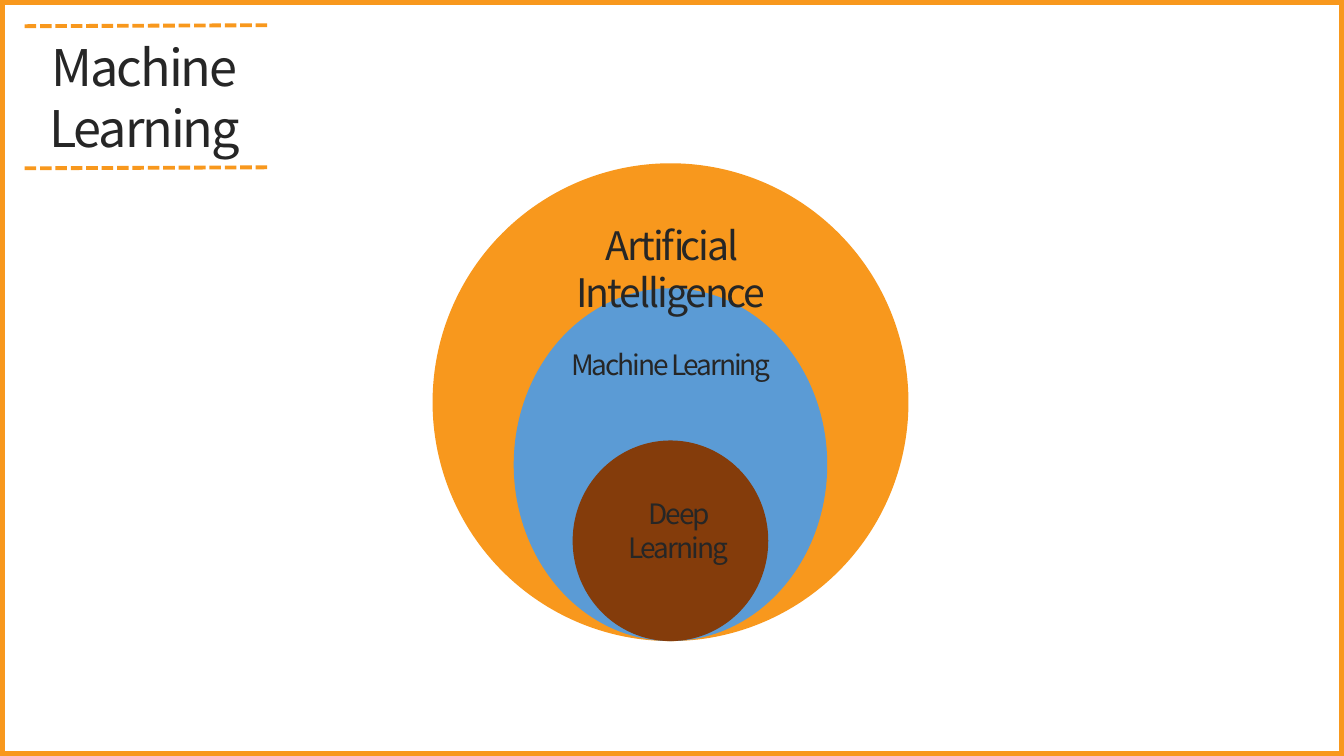
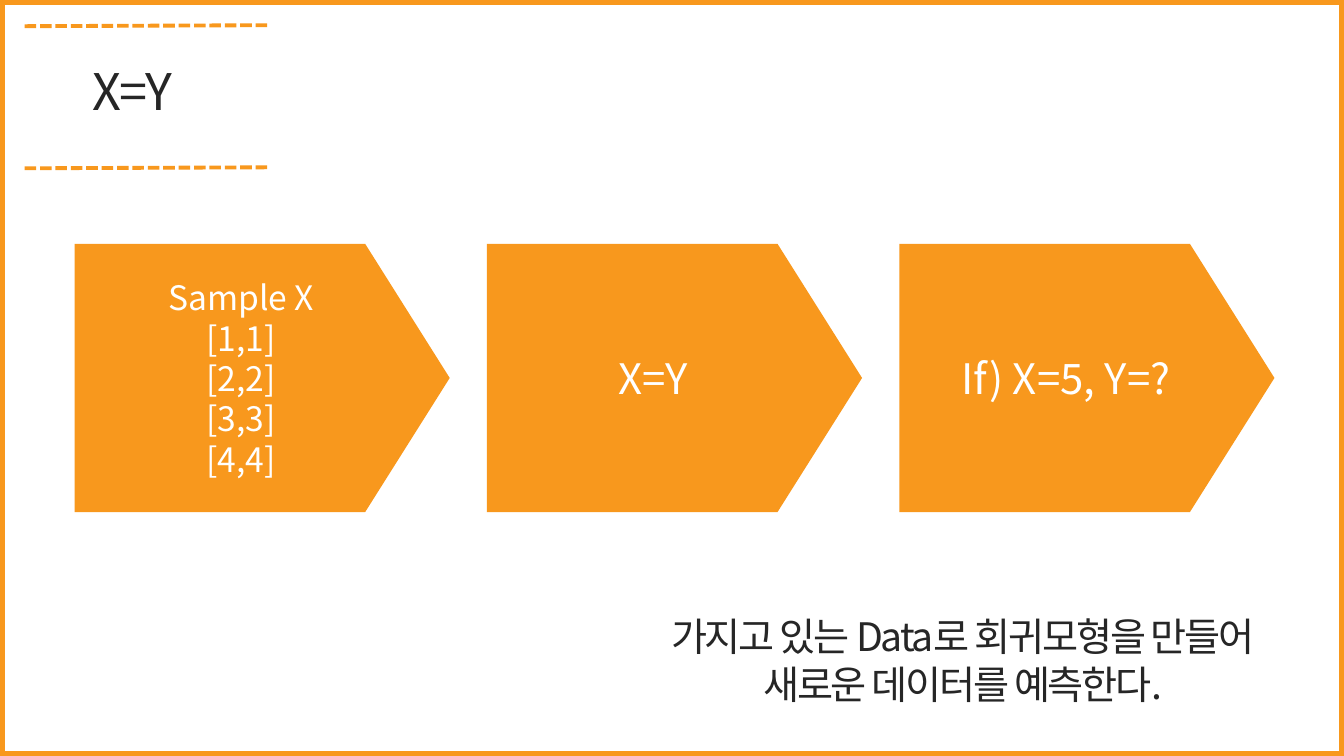
import dataclasses
import pptx
import pptx.util
import pptx.dml.color
import pptx.enum.dml
import pptx.enum.shapes
import pptx.enum.text
import pptx.oxml
import pptx.oxml.ns

Inches = pptx.util.Inches
Pt = pptx.util.Pt
RGB = pptx.dml.color.RGBColor
SHAPE = pptx.enum.shapes.MSO_SHAPE
ANCHOR = pptx.enum.text.MSO_ANCHOR


@dataclasses.dataclass(frozen=True)
class Theme:
    orange: RGB = RGB(0xF8, 0x98, 0x1D)
    blue: RGB = RGB(0x5B, 0x9B, 0xD5)
    brown: RGB = RGB(0x84, 0x3C, 0x0B)
    ink: RGB = RGB(0x26, 0x26, 0x26)
    white: RGB = RGB(0xFF, 0xFF, 0xFF)
    font: str = "Noto Sans CJK KR"
    title: int = 36
    step: int = 30
    heading: int = 28
    listing: int = 24
    label: int = 20
    tracking: float = -1.5
    border: float = 3.75
    rule: float = 2.75


T = Theme()


def write(sp, lines, size, color, tracking=0, anchor=ANCHOR.TOP):
    tf = sp.text_frame
    frame_format = {"word_wrap": True, "vertical_anchor": anchor}
    for name, value in frame_format.items():
        setattr(tf, name, value)
    font_format = {"name": T.font, "size": Pt(size)}
    for i, line in enumerate(lines):
        p = tf.paragraphs[0] if i == 0 else tf.add_paragraph()
        p.alignment = pptx.enum.text.PP_ALIGN.CENTER
        r = p.add_run()
        r.text = line
        for name, value in font_format.items():
            setattr(r.font, name, value)
        r.font.color.rgb = color
        rPr = r.font._element
        if tracking:
            rPr.set("spc", str(int(tracking * 100)))
        ea = pptx.oxml.parse_xml(f'<a:ea {pptx.oxml.ns.nsdecls("a")} typeface="{T.font}"/>')
        rPr.find(pptx.oxml.ns.qn("a:latin")).addnext(ea)


def add_text(s, box, lines, size):
    sp = s.shapes.add_textbox(*map(Inches, box))
    write(sp, lines, size, T.ink, T.tracking)
    sp.text_frame.auto_size = pptx.enum.text.MSO_AUTO_SIZE.SHAPE_TO_FIT_TEXT


def add_solid(s, kind, box, fill):
    sp = s.shapes.add_shape(kind, *map(Inches, box))
    sp.shadow.inherit = False
    sp.fill.solid()
    sp.fill.fore_color.rgb = fill
    sp.line.fill.background()
    return sp


def add_rule(s, left, right, y):
    ln = s.shapes.add_connector(
        pptx.enum.shapes.MSO_CONNECTOR.STRAIGHT,
        Inches(right), Inches(y), Inches(left), Inches(y + 0.01))
    line_format = {"width": Pt(T.rule), "dash_style": pptx.enum.dml.MSO_LINE.SQUARE_DOT}
    for name, value in line_format.items():
        setattr(ln.line, name, value)
    ln.line.color.rgb = T.orange
    ln._element.spPr.append(
        pptx.oxml.parse_xml(f'<a:effectLst {pptx.oxml.ns.nsdecls("a")}/>'))


def add_framed_slide(prs, title, title_box):
    s = prs.slides.add_slide(prs.slide_layouts[6])
    border = s.shapes.add_shape(SHAPE.RECTANGLE, *map(Inches, (0.02, 0.02, 13.29, 7.46)))
    border.shadow.inherit = False
    border.fill.background()
    border.line.color.rgb = T.orange
    border.line.width = Pt(T.border)
    for y in (0.25, 1.66):
        add_rule(s, 0.23, 2.65, y)
    add_text(s, title_box, title, T.title)
    return s


def nested_circles(s, box):
    left, top, width, height = box
    center, bottom = left + width / 2, top + height
    circles = [(width, height, T.orange), (3.11, 3.5, T.blue), (1.94, 1.99, T.brown)]
    for w, h, fill in circles:
        add_solid(s, SHAPE.OVAL, (center - w / 2, bottom - h, w, h), fill)
    labels = [
        ("Artificial Intelligence", 0.7, 0.53, 3.33, 0.57, T.heading),
        ("Machine Learning", 1.17, 1.78, 2.39, 0.44, T.label),
        ("Deep Learning", 1.54, 3.26, 1.79, 0.44, T.label),
    ]
    for text, dx, dy, w, h, size in labels:
        add_text(s, (left + dx, top + dy, w, h), [text], size)


def step_arrows(s, box, steps, gap=0.37):
    left, top, width, height = box
    step_width = (width - gap * (len(steps) - 1)) / len(steps)
    for i, (lines, size) in enumerate(steps):
        x = left + i * (step_width + gap)
        sp = add_solid(s, SHAPE.PENTAGON, (x, top, step_width, height), T.orange)
        sp.adjustments[0] = 0.315
        write(sp, lines, size, T.white, anchor=ANCHOR.MIDDLE)


def main():
    prs = pptx.Presentation()
    prs.slide_width, prs.slide_height = Inches(13.33), Inches(7.5)

    s = add_framed_slide(prs, ["Machine", "Learning"], (0.15, 0.31, 2.57, 1.31))
    nested_circles(s, (4.29, 1.62, 4.72, 4.74))

    s = add_framed_slide(prs, ["X=Y"], (0.03, 0.55, 2.57, 0.71))
    pairs = [f"[{n},{n}]" for n in range(1, 5)]
    step_arrows(s, (0.74, 2.42, 11.9, 2.66), [
        (["Sample X", *pairs], T.listing),
        (["X=Y"], T.step),
        (["If) X=5, Y=?"], T.step),
    ])
    add_text(s, (6.02, 6.03, 7.06, 1.04),
             ["가지고 있는 Data로 회귀모형을 만들어", "새로운 데이터를 예측한다."], T.heading)

    prs.save("out.pptx")


if __name__ == "__main__":
    main()
